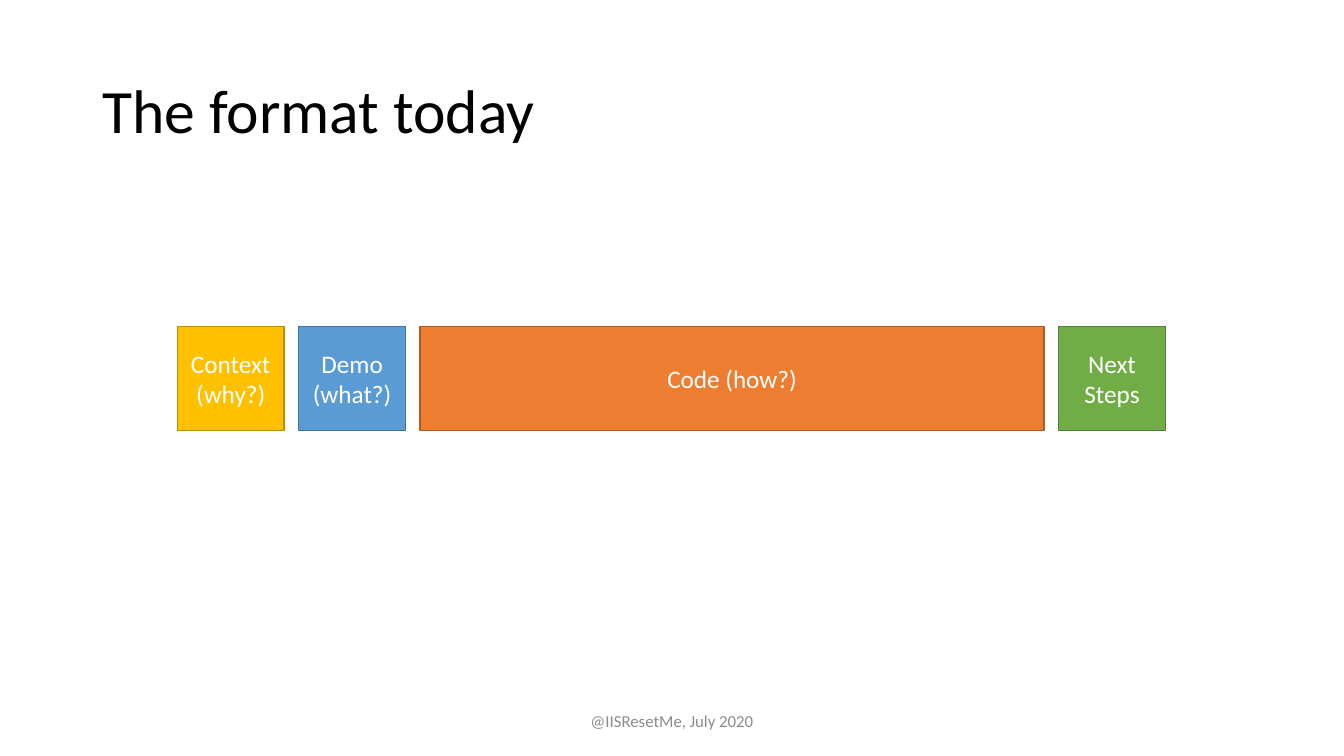
from pptx import Presentation
from pptx.dml.color import RGBColor
from pptx.enum import shapes, text
from pptx.util import Cm, Pt

TITLE = "The format today"
FOOTER = "@IISResetMe, July 2020"
# label, width in cm, fill, outline
STAGES = [
    ("Context (why?)", 2.69, "FFC000", "BD8E00"),
    ("Demo (what?)", 2.69, "5B9BD5", "43739E"),
    ("Code (how?)", 15.72, "ED7D31", "AF5C24"),
    ("Next Steps", 2.69, "70AD47", "538035"),
]
STAGES_LEFT, STAGES_TOP, STAGE_HEIGHT, STAGE_GAP = 4.47, 8.23, 2.62, 0.37


def color(hex_value):
    return RGBColor.from_string(hex_value)


def write(shape, words, size, hex_value, align, line_spacing=1.0):
    frame = shape.text_frame
    frame.word_wrap = True
    frame.vertical_anchor = text.MSO_ANCHOR.MIDDLE
    paragraph = frame.paragraphs[0]
    paragraph.text = words
    paragraph.alignment = align
    paragraph.line_spacing = line_spacing
    paragraph.font.color.rgb = color(hex_value)
    for attribute, value in {"name": "Calibri", "size": Pt(size)}.items():
        setattr(paragraph.font, attribute, value)


def main():
    deck = Presentation()
    deck.slide_width, deck.slide_height = Cm(33.87), Cm(19.05)
    slide = deck.slides.add_slide(deck.slide_layouts[6])

    title = slide.shapes.add_textbox(Cm(2.33), Cm(1.01), Cm(29.21), Cm(3.68))
    write(title, TITLE, 44, "000000", text.PP_ALIGN.LEFT, 0.9)

    left = STAGES_LEFT
    for label, width, fill, outline in STAGES:
        stage = slide.shapes.add_shape(
            shapes.MSO_SHAPE.RECTANGLE,
            Cm(left), Cm(STAGES_TOP), Cm(width), Cm(STAGE_HEIGHT))
        stage.shadow.inherit = False
        stage.fill.solid()
        stage.fill.fore_color.rgb = color(fill)
        stage.line.color.rgb = color(outline)
        stage.line.width = Pt(1)
        write(stage, label, 18, "FFFFFF", text.PP_ALIGN.CENTER)
        left += width + STAGE_GAP

    footer = slide.shapes.add_textbox(Cm(11.22), Cm(17.66), Cm(11.43), Cm(1.01))
    write(footer, FOOTER, 12, "8C8C8C", text.PP_ALIGN.CENTER)

    deck.save("out.pptx")


if __name__ == "__main__":
    main()
